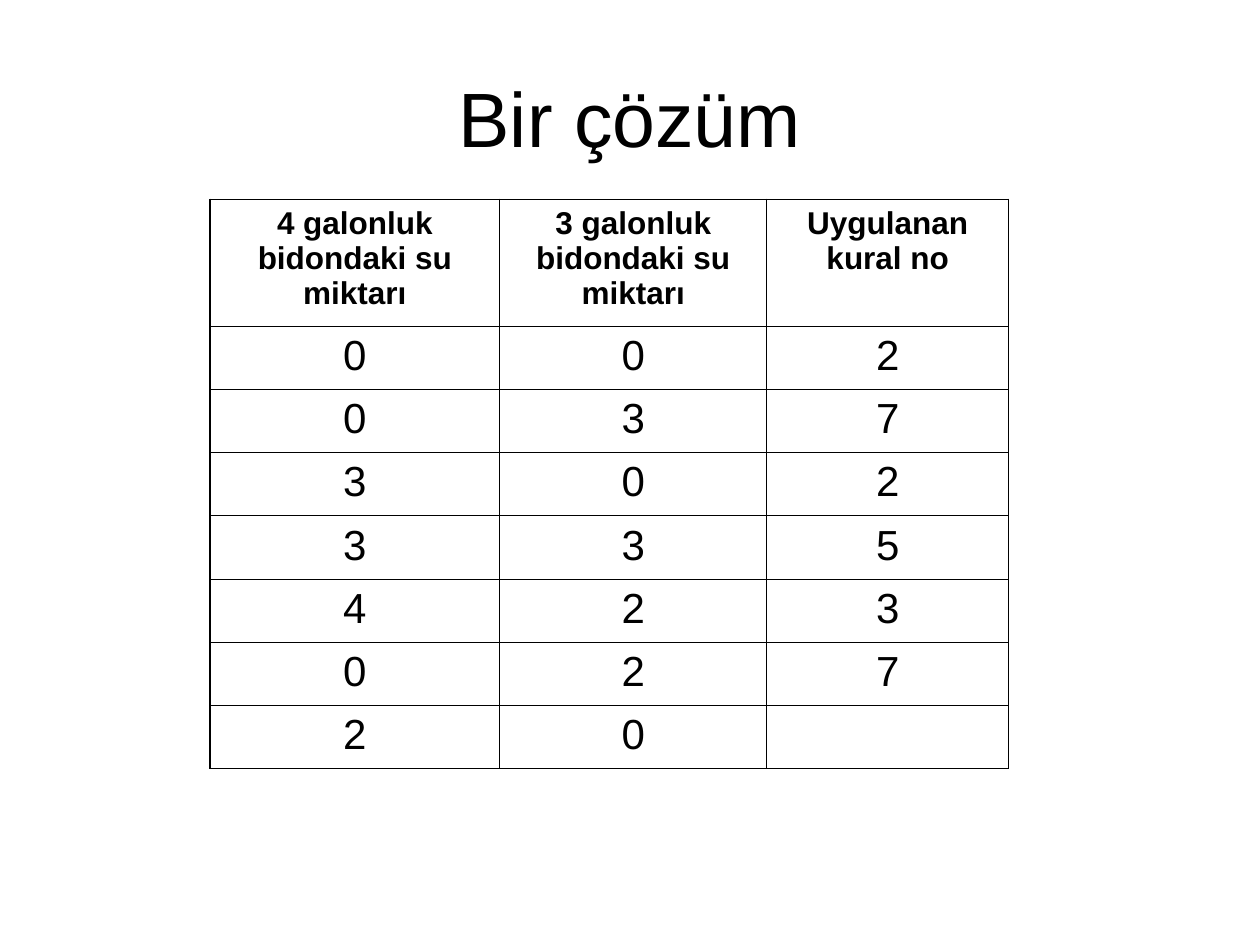
"""Build a slide with a table that solves the water jug puzzle."""
from dataclasses import dataclass

from lxml.etree import Element, SubElement
from pptx import Presentation
from pptx.dml.color import RGBColor
from pptx.enum.text import MSO_ANCHOR, PP_ALIGN
from pptx.oxml.ns import qn
from pptx.table import _Cell
from pptx.text.text import TextFrame
from pptx.util import Pt

COLORS = {"ink": "000000"}
FONT = "Arial"
THIN, THICK = 0.45, 1.08
WIDTHS = [165.6, 152.6, 138.2]
HEAD, ROW = 72.5, 36.1
ROWS = [
    ["4 galonluk bidondaki su miktarı", "3 galonluk bidondaki su miktarı",
     "Uygulanan kural no"],
    ["0", "0", "2"],
    ["0", "3", "7"],
    ["3", "0", "2"],
    ["3", "3", "5"],
    ["4", "2", "3"],
    ["0", "2", "7"],
    ["2", "0", ""],
]


@dataclass
class Style:
    """Size and weight of a text."""
    size: float
    bold: bool = False


TITLE, LABEL, VALUE = Style(44), Style(18, True), Style(24)


def write(frame: TextFrame, text: str, style: Style) -> None:
    """Set a centred text and format it."""
    frame.text = text
    para = frame.paragraphs[0]
    para.alignment = PP_ALIGN.CENTER
    for run in para.runs:
        run.font.name = FONT
        run.font.size = Pt(style.size)
        run.font.bold = style.bold
        run.font.color.rgb = RGBColor.from_string(COLORS["ink"])


def border(cell: _Cell, sides: dict[str, bool]) -> None:
    """Draw the cell borders, thick on the outer sides."""
    props = cell._tc.get_or_add_tcPr()
    for spot, (side, outer) in enumerate(sides.items()):
        line = Element(qn(f"a:ln{side}"), w=str(Pt(THICK if outer else THIN)))
        fill = SubElement(line, qn("a:solidFill"))
        SubElement(fill, qn("a:srgbClr"), val=COLORS["ink"])
        props.insert(spot, line)


def main() -> None:
    """Build and save the slide."""
    deck = Presentation()
    deck.slide_width, deck.slide_height = Pt(720), Pt(540)
    slide = deck.slides.add_slide(deck.slide_layouts[5])

    title = slide.shapes.title
    title.left, title.top = Pt(36), Pt(21.6)
    title.width, title.height = Pt(648), Pt(90)
    title.text_frame.vertical_anchor = MSO_ANCHOR.MIDDLE
    write(title.text_frame, "Bir çözüm", TITLE)

    heights = [HEAD] + [ROW] * (len(ROWS) - 1)
    table = slide.shapes.add_table(
        len(ROWS), len(WIDTHS), Pt(120), Pt(114),
        Pt(sum(WIDTHS)), Pt(sum(heights))).table
    table.first_row = table.horz_banding = False
    for col, width in zip(table.columns, WIDTHS):
        col.width = Pt(width)
    for row, height in zip(table.rows, heights):
        row.height = Pt(height)

    for r, texts in enumerate(ROWS):
        for c, text in enumerate(texts):
            cell = table.cell(r, c)
            cell.fill.background()
            write(cell.text_frame, text, VALUE if r else LABEL)
            border(cell, {"L": c == 0, "R": c == len(WIDTHS) - 1,
                          "T": r == 0, "B": r == len(ROWS) - 1})

    deck.save("out.pptx")


if __name__ == "__main__":
    main()
